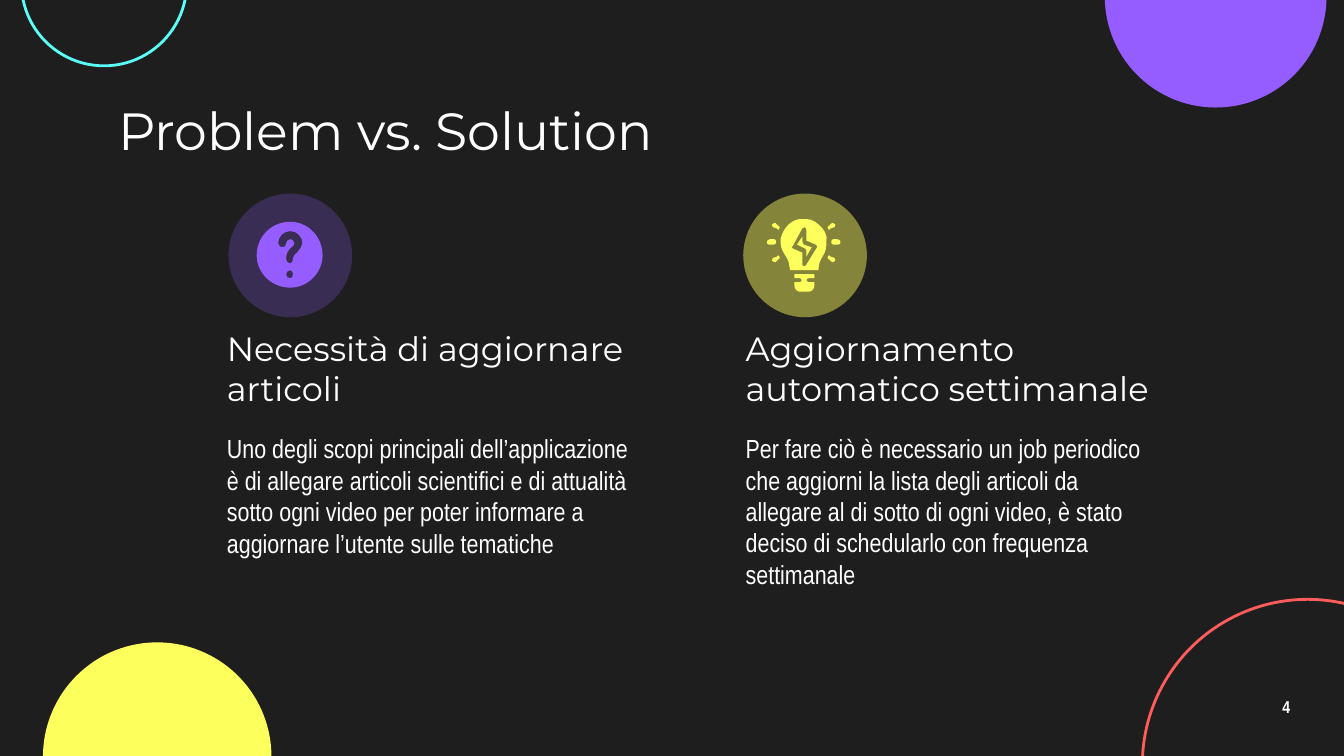
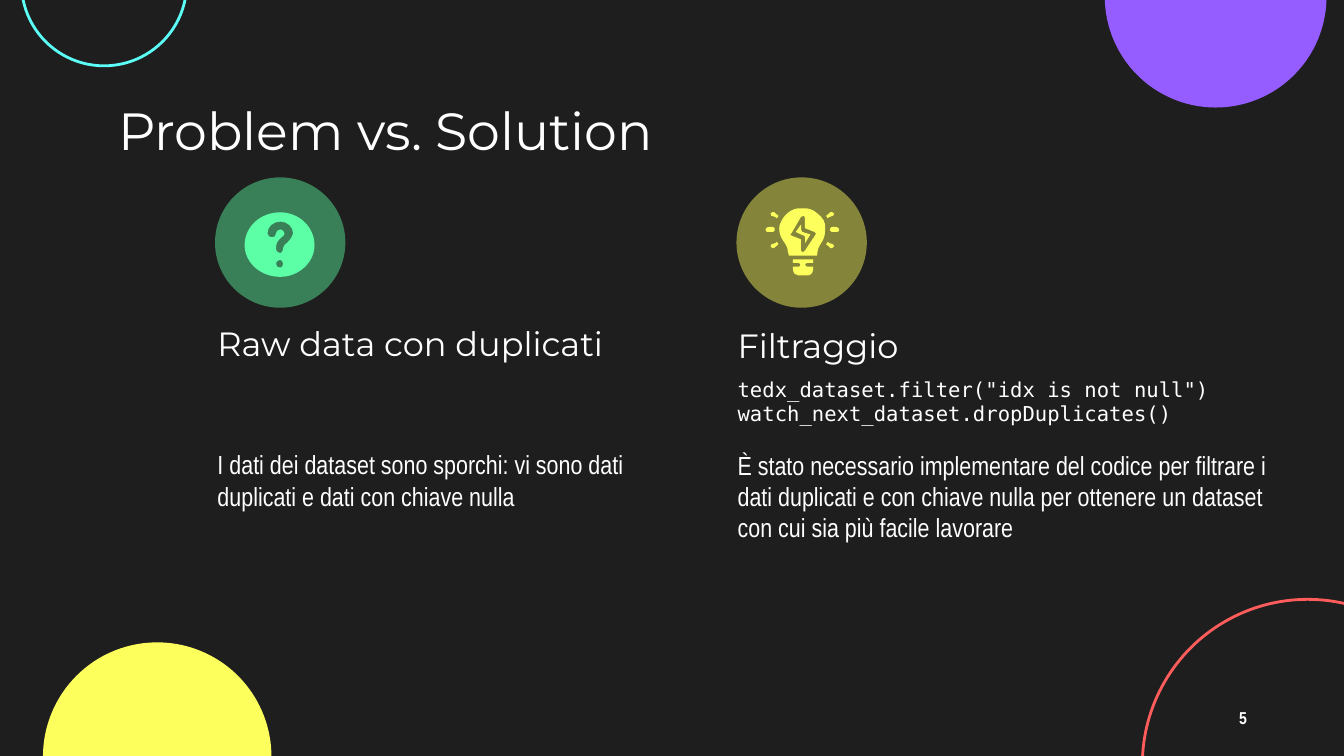
from dataclasses import dataclass
from lxml.etree import SubElement
from pptx import Presentation
from pptx.dml.color import RGBColor
from pptx.enum.shapes import MSO_SHAPE
from pptx.enum.text import MSO_ANCHOR, MSO_AUTO_SIZE, PP_ALIGN
from pptx.oxml.ns import qn
from pptx.util import Inches, Pt


@dataclass(frozen=True)
class Theme:
    background: str = "1E1E1E"
    text: str = "FFFFFF"
    purple: str = "955CFF"
    dark_purple: str = "3A2D53"
    red: str = "FF5C5C"
    cyan: str = "5CFFF8"
    yellow: str = "FDFF5C"
    green: str = "5CFFA6"
    # Font name, size in points, bold
    title: tuple = ("Montserrat", 28, False)
    heading: tuple = ("Montserrat", 18, False)
    body: tuple = ("Arial Narrow", 14, False)
    code: tuple = ("DejaVu Sans Mono", 11, False)
    number: tuple = ("Arial Narrow", 9.2, True)


theme = Theme()
MIDDLE, TOP = MSO_ANCHOR.MIDDLE, MSO_ANCHOR.TOP


def write_text(shape, box, lines, style, anchor=TOP, alignment=PP_ALIGN.LEFT, spacing=1.0):
    """Place a text shape and fill it, one paragraph a line."""
    shape.left, shape.top, shape.width, shape.height = [Inches(length) for length in box]
    frame = shape.text_frame
    frame.word_wrap = True
    frame.auto_size = MSO_AUTO_SIZE.NONE
    frame.vertical_anchor = anchor
    frame.margin_left = frame.margin_right = Inches(0.1)
    frame.margin_top = frame.margin_bottom = Inches(0.1)
    frame.text = lines
    for paragraph in frame.paragraphs:
        paragraph.alignment = alignment
        paragraph.line_spacing = spacing
        paragraph.font.name, size, paragraph.font.bold = style
        paragraph.font.size = Pt(size)
        paragraph.font.color.rgb = RGBColor.from_string(theme.text)


def add_circle(slide, left, top, diameter, fill=None, line=None, opacity=100):
    """Add a filled or outlined circle."""
    circle = slide.shapes.add_shape(
        MSO_SHAPE.OVAL, Inches(left), Inches(top), Inches(diameter), Inches(diameter))
    circle.shadow.inherit = False
    if fill:
        circle.fill.solid()
        circle.fill.fore_color.rgb = RGBColor.from_string(fill)
        if opacity < 100:
            color = circle.element.spPr.find(qn("a:solidFill"))[0]
            SubElement(color, qn("a:alpha")).set("val", str(opacity * 1000))
    else:
        circle.fill.background()
    if line:
        circle.line.color.rgb = RGBColor.from_string(line)
        circle.line.width = Pt(1.5)
    else:
        circle.line.fill.background()
    return circle


# Icon outlines in hundredths of an inch: M move, L line, C cubic curve
RAY = "M 49 15 C 47 15 47 19 49 19 L 52 19 C 52 19 53 19 53 19 C 55 19 55 15 52 15"
SLANTED_RAY = ("M 49 3 C 49 3 49 3 48 3 L 46 5 C 44 5 45 8 46 8 C 47 8 47 8 47 7 "
               "L 50 6 C 51 5 51 3 49 3")
BOLT = ("M 26 13 L 22 19 L 28 22 C 29 22 29 23 29 24 L 29 28 L 33 21 L 27 19 "
        "C 26 18 26 18 26 17 L 26 13")
SOCKET = ("M 20 41 L 20 44 L 24 44 C 26 44 26 47 24 47 L 20 47 L 20 49 "
          "C 20 52 22 54 24 54 L 31 54 C 33 54 35 52 35 49 L 35 47 L 31 47 "
          "C 29 47 28 44 31 44 L 35 44 L 35 41")
GLASS = ("M 28 6 C 28 6 29 7 29 8 L 29 16 L 36 19 C 36 19 37 19 37 20 "
         "C 37 20 37 21 37 21 L 29 34 C 28 35 28 35 28 35 L 27 35 "
         "C 26 35 26 34 26 33 L 26 25 L 19 22 C 19 22 19 22 18 21 "
         "C 18 21 18 20 19 20 L 26 7 C 27 6 27 6 28 6 "
         "M 28 0 C 26 0 25 0 24 0 C 17 1 12 7 10 14 C 9 21 12 25 14 28 "
         "C 18 35 15 35 17 38 L 38 38 C 39 35 37 35 41 28 C 43 25 44 22 44 17 "
         "C 45 12 42 7 38 4 C 35 1 32 0 28 0")
QUESTION = ("M 25 7 C 30 7 34 11 34 16 C 33 19 32 21 30 23 C 29 24 27 25 27 27 "
            "L 27 28 C 27 29 26 31 25 31 C 23 31 22 29 22 28 L 22 27 "
            "C 22 24 23 21 27 18 C 27 18 28 17 28 16 C 28 14 26 13 25 13 "
            "C 23 13 22 15 22 16 C 22 18 21 19 19 19 C 18 19 16 18 16 16 "
            "C 16 11 20 7 25 7 "
            "M 25 36 C 26 36 27 38 27 39 C 27 41 26 42 25 42 C 23 42 22 41 22 39 "
            "C 22 38 23 36 25 36 "
            "M 25 0 C 11 0 0 11 0 25 C 0 38 11 49 25 49 C 38 49 49 38 49 25 "
            "C 49 11 38 0 25 0")

# Each icon: native size, then outlines with horizontal and vertical mirroring
ICONS = {
    "question": (49, 49, [(QUESTION, False, False)]),
    "bulb": (54, 54, [(RAY, mirrored, False) for mirrored in (False, True)]
             + [(SLANTED_RAY, mirrored, flipped)
                for mirrored in (False, True) for flipped in (False, True)]
             + [(outline, False, False) for outline in (BOLT, SOCKET, GLASS)]),
}
RAY_AXIS_SUM = 35  # twice the height of the line the rays mirror about
PRECISION = 100

# Slide content
slides = [
    dict(
        number=("4", (9.27, 5.1, 0.6, 0.34)),
        discs=[(5.53, 1.44, 0.92, theme.yellow, 46),
               (1.7, 1.44, 0.92, theme.dark_purple, 100)],
        icons=[("bulb", (5.71, 1.63, 0.54, 0.54), theme.yellow),
               ("question", (1.91, 1.65, 0.49, 0.49), theme.purple)],
        texts=[
            ("Aggiornamento automatico settimanale", (5.45, 2.49, 3.4, 0.5),
             theme.heading, MIDDLE),
            ("Necessità di aggiornare articoli", (1.59, 2.49, 3.24, 0.5),
             theme.heading, MIDDLE),
            ("Uno degli scopi principali dell’applicazione è di allegare articoli "
             "scientifici e di attualità sotto ogni video per poter informare a "
             "aggiornare l’utente sulle tematiche", (1.59, 3.12, 3.24, 1.39),
             theme.body, TOP),
            ("Per fare ciò è necessario un job periodico che aggiorni la lista degli "
             "articoli da allegare al di sotto di ogni video, è stato deciso di "
             "schedularlo con frequenza settimanale", (5.45, 3.12, 3.24, 0.93),
             theme.body, TOP),
        ]),
    dict(
        number=("5", (8.95, 5.18, 0.6, 0.34)),
        discs=[(5.48, 1.32, 0.97, theme.yellow, 46),
               (1.6, 1.32, 0.97, theme.green, 44)],
        icons=[("question", (1.82, 1.58, 0.52, 0.48), theme.green),
               ("bulb", (5.7, 1.55, 0.54, 0.5), theme.yellow)],
        texts=[
            ("Filtraggio", (5.39, 2.32, 3.24, 0.5), theme.heading, TOP),
            ("Raw data con duplicati", (1.52, 2.3, 3.24, 0.86), theme.heading, TOP),
            ("I dati dei dataset sono sporchi: vi sono dati duplicati e dati con "
             "chiave nulla", (1.52, 3.24, 3.24, 0.76), theme.body, TOP),
            ("È stato necessario implementare del codice per filtrare i dati "
             "duplicati e con chiave nulla per ottenere un dataset con cui sia più "
             "facile lavorare", (5.39, 3.24, 4.24, 2.08), theme.body, TOP),
            ('tedx_dataset.filter("idx is not null")\n'
             "watch_next_dataset.dropDuplicates()", (5.39, 2.73, 4.24, 0.51),
             theme.code, MIDDLE),
        ]),
]

presentation = Presentation()
presentation.slide_width, presentation.slide_height = Inches(10), Inches(5.625)
title_only = presentation.slide_layouts[5]

# Shared background
master = presentation.slide_master
master.background.fill.solid()
master.background.fill.fore_color.rgb = RGBColor.from_string(theme.background)

for index, content in enumerate(slides):
    slide = presentation.slides.add_slide(title_only)

    # Corner circles are drawn once and moved behind everything on the master
    if index == 0:
        corners = [add_circle(slide, 8.22, -0.85, 1.65, fill=theme.purple),
                   add_circle(slide, 8.5, 4.46, 2.46, line=theme.red),
                   add_circle(slide, 0.16, -0.74, 1.23, line=theme.cyan),
                   add_circle(slide, 0.32, 4.78, 1.7, fill=theme.yellow)]
        for position, corner in enumerate(corners, start=2):
            master.shapes.element.insert(position, corner.element)

    # Title, texts and slide number
    write_text(slide.shapes.title, (0.78, 0.71, 8.44, 0.51), "Problem vs. Solution",
               theme.title, MIDDLE)
    for lines, box, style, anchor in content["texts"]:
        write_text(slide.shapes.add_textbox(0, 0, 0, 0), box, lines, style, anchor)
    number, box = content["number"]
    write_text(slide.shapes.add_textbox(0, 0, 0, 0), box, number, theme.number,
               MIDDLE, PP_ALIGN.CENTER, 0.9)

    # Icon discs
    for left, top, diameter, color, opacity in content["discs"]:
        add_circle(slide, left, top, diameter, fill=color, opacity=opacity)

    # Icons
    for name, (left, top, width, height), color in content["icons"]:
        native_width, native_height, outlines = ICONS[name]
        scale = (Inches(width) / native_width / PRECISION,
                 Inches(height) / native_height / PRECISION)
        parts = []
        for outline, mirrored, flipped in outlines:
            builder, commands = None, []
            for contour in outline.split("M ")[1:]:
                tokens = contour.split()
                commands += ["M"] + [token for token in tokens if token in "LC"] + ["Z"]
                values = [float(token) for token in tokens if token not in "LC"]
                points = [((native_width - x if mirrored else x) * PRECISION,
                           (RAY_AXIS_SUM - y if flipped else y) * PRECISION)
                          for x, y in zip(values[::2], values[1::2])]
                if builder is None:
                    builder = slide.shapes.build_freeform(*points[0], scale=scale)
                else:
                    builder.move_to(*points[0])
                builder.add_line_segments(points[1:], close=True)
            part = builder.convert_to_shape(Inches(left), Inches(top))

            # Join the three points of each curve into one cubic segment
            outline_path = next(part.element.iter(qn("a:path")))
            nodes = iter(list(outline_path))
            for command in commands:
                node = next(nodes)
                if command == "C":
                    curve = SubElement(outline_path, qn("a:cubicBezTo"))
                    node.addprevious(curve)
                    for control in (node, next(nodes), next(nodes)):
                        curve.append(control[0])
                        outline_path.remove(control)

            part.shadow.inherit = False
            part.fill.solid()
            part.fill.fore_color.rgb = RGBColor.from_string(color)
            part.line.fill.background()
            parts.append(part)
        if len(parts) > 1:
            slide.shapes.add_group_shape(parts)

presentation.save("out.pptx")
